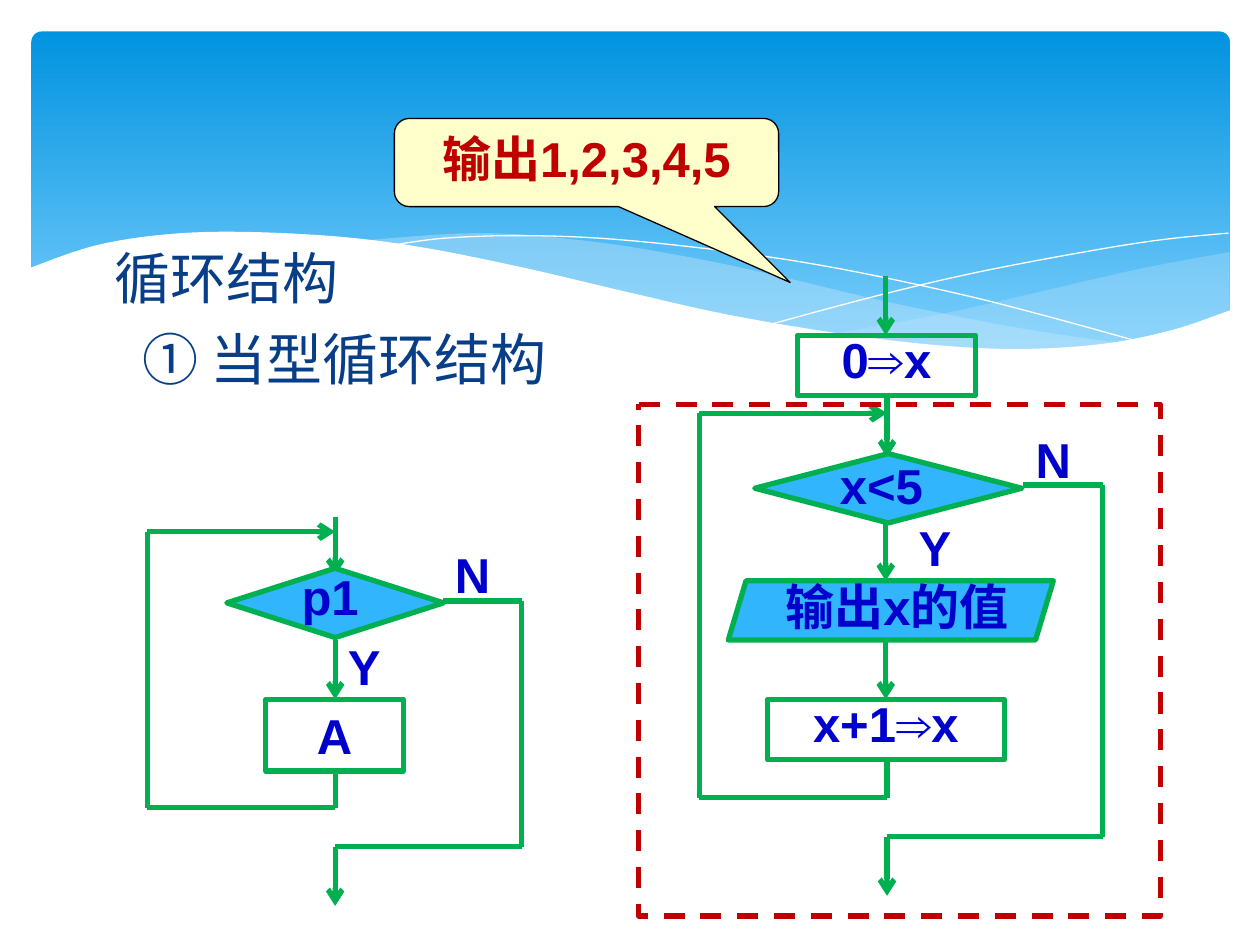
from itertools import pairwise

from lxml.etree import SubElement
from pptx import Presentation
from pptx.dml.color import RGBColor
from pptx.enum.dml import MSO_LINE as Dash
from pptx.enum.shapes import MSO_CONNECTOR as Link, MSO_SHAPE as Kind
from pptx.enum.text import MSO_ANCHOR as Anchor, PP_ALIGN as Align
from pptx.oxml.ns import qn
from pptx.util import Inches, Pt

SKY = RGBColor(0x02, 0x93, 0xE0)
PALE = RGBColor(0x83, 0xD3, 0xFE)
MIST = RGBColor(0xC6, 0xE7, 0xFC)
WHITE = RGBColor(0xFF, 0xFF, 0xFF)
BLACK = RGBColor(0x00, 0x00, 0x00)
NAVY = RGBColor(0x07, 0x3E, 0x87)
BLUE = RGBColor(0x00, 0x00, 0xCC)
AQUA = RGBColor(0x31, 0xB6, 0xFD)
GREEN = RGBColor(0x00, 0xB0, 0x50)
RED = RGBColor(0xC0, 0x00, 0x00)
CREAM = RGBColor(0xFF, 0xFF, 0xCC)

BODY = {"name": "Arial", "size": Pt(28), "bold": True}
HEAD = {"name": "DejaVu Sans", "size": Pt(32), "bold": False}

SWELL = [(9.77, 2.46), (9.3, 2.62), (8.75, 2.73), (8.09, 2.77), (7.44, 2.74),
         (6.68, 2.65), (5.79, 2.5), (5.03, 2.33), (4.18, 2.13), (3.39, 1.97),
         (2.71, 1.88), (1.93, 1.84), (1.32, 1.86), (0.75, 1.95), (0.23, 2.13)]
BAND_TOP = [(8.93, 2.73), (8.07, 2.6), (7.06, 2.4), (6.13, 2.18), (5.41, 2.03),
            (4.64, 1.91), (3.8, 1.85), (2.86, 1.91)]
BAND_LOW = [(2.86, 1.91), (3.62, 2.03), (4.49, 2.22), (5.66, 2.48), (6.65, 2.66),
            (7.48, 2.76), (8.18, 2.79), (8.93, 2.73)]
SIDE_TOP = [(9.76, 2), (9.06, 2.13), (8.32, 2.3), (7.53, 2.48), (6.61, 2.65)]
SIDE_LOW = [(6.61, 2.65), (7.18, 2.73), (7.81, 2.77), (8.44, 2.77), (9.05, 2.69),
            (9.76, 2.47)]
FALL = [(3.09, 1.95), (3.53, 1.89), (4.16, 1.87), (4.89, 1.9), (5.82, 2),
        (6.65, 2.13), (7.6, 2.33), (8.31, 2.51), (9.07, 2.72)]
RISE = [(6.13, 2.57), (6.95, 2.35), (7.76, 2.16), (8.66, 1.99), (9.24, 1.9),
        (9.75, 1.85)]


def smooth(dots, steps=6):
    """Return points on a Catmull-Rom curve through the dots."""
    ends = [dots[0], *dots, dots[-1]]
    out = [dots[0]]
    for a, b, c, d in zip(ends, ends[1:], ends[2:], ends[3:]):
        for t in (i / steps for i in range(1, steps + 1)):
            out.append(tuple(
                q + t * (r - p) / 2 + t**2 * (p - 2.5 * q + 2 * r - s / 2)
                + t**3 * (3 * q - p - 3 * r + s) / 2
                for p, q, r, s in zip(a, b, c, d)))
    return out


class Flow:
    """Hold the style and the current slide, and draw its elements."""

    def __init__(self, slide):
        self.shapes = slide.shapes
        self.edge = {"color": GREEN, "width": Pt(3)}

    def paint(self, shape, fill=None, line=None, width=3):
        shape.shadow.inherit = False
        if fill is None:
            shape.fill.background()
        else:
            shape.fill.solid()
            shape.fill.fore_color.rgb = fill
        if line is None:
            shape.line.fill.background()
        else:
            shape.line.color.rgb = line
            shape.line.width = Pt(width)
        return shape

    def letter(self, shape, lines, style=BODY, color=BLUE, align=Align.CENTER):
        frame = shape.text_frame
        frame.word_wrap = True
        frame.vertical_anchor = Anchor.TOP
        for i, text in enumerate(lines):
            para = frame.add_paragraph() if i else frame.paragraphs[0]
            para.alignment = align
            run = para.add_run()
            run.text = text
            for key, value in style.items():
                setattr(run.font, key, value)
            run.font.color.rgb = color
        return frame.paragraphs

    def sky(self, *box):
        shape = self.paint(self.shapes.add_shape(Kind.ROUNDED_RECTANGLE, *map(Inches, box)))
        shape.adjustments[0] = 0.03
        shape.fill.gradient()
        shape.fill.gradient_angle = 270
        for stop, color, place in zip(shape.fill.gradient_stops, (SKY, PALE), (0, 1)):
            stop.color.rgb = color
            stop.position = place

    def wave(self, *edges, fill=None, alpha=100, line=None):
        dots = [tuple(map(Inches, dot)) for edge in edges for dot in smooth(edge)]
        pen = self.shapes.build_freeform(*dots[0])
        pen.add_line_segments(dots[1:], close=fill is not None)
        shape = self.paint(pen.convert_to_shape(), fill, line, 0)
        if alpha < 100:
            tint = shape._element.spPr.find(".//" + qn("a:srgbClr"))
            SubElement(tint, qn("a:alpha")).set("val", str(alpha * 1000))

    def node(self, kind, box, fill=None, line=GREEN, width=3, adjust=()):
        shape = self.shapes.add_shape(kind, *map(Inches, box))
        for i, value in enumerate(adjust):
            shape.adjustments[i] = value
        return self.paint(shape, fill, line, width)

    def label(self, box, *lines, **look):
        return self.letter(self.shapes.add_textbox(*map(Inches, box)), lines, **look)

    def route(self, *dots):
        for start, end in pairwise(dots):
            link = self.shapes.add_connector(Link.STRAIGHT, *map(Inches, start + end))
            link.line.color.rgb = self.edge["color"]
            link.line.width = self.edge["width"]
            SubElement(link._element.spPr, qn("a:effectLst"))
            if end == dots[-1]:
                ln = link._element.spPr.find(qn("a:ln"))
                SubElement(ln, qn("a:tailEnd")).set("type", "arrow")

    def loop(self, mid, left, right, entry, back, base, foot, side, out):
        self.route((mid, entry), (mid, entry + 0.47))
        self.route((mid, base), (mid, foot), (left, foot), (left, back), (mid, back))
        low = foot + 0.31
        self.route((side, out), (right, out), (right, low), (mid, low), (mid, low + 0.47))


def main():
    deck = Presentation()
    deck.slide_width, deck.slide_height = Inches(10), Inches(7.5)
    flow = Flow(deck.slides.add_slide(deck.slide_layouts[6]))

    flow.sky(0.25, 0.25, 9.51, 2.7)
    flow.wave(SIDE_TOP, SIDE_LOW, fill=MIST, alpha=29)
    flow.wave(BAND_TOP, BAND_LOW, fill=MIST, alpha=40)
    flow.wave(FALL, line=WHITE)
    flow.wave(RISE, line=WHITE)
    flow.wave(SWELL, [(0.23, 3.29), (9.77, 3.29)], fill=WHITE)

    heads = flow.label((0.7, 1.88, 8.52, 2.27), "循环结构", "① 当型循环结构",
                       style=HEAD, color=NAVY, align=Align.LEFT)
    for para, indent in zip(heads, (0.11, 0.33)):
        para._p.get_or_add_pPr().set("marL", str(Inches(indent)))
    heads[1].space_before = Pt(8)

    flow.loop(2.66, 1.17, 4.14, 4.1, 4.22, 6.12, 6.41, 3.52, 4.77)
    flow.loop(7.04, 5.55, 8.75, 3.16, 3.28, 6.02, 6.33, 8.12, 3.85)
    for x, y in ((2.66, 5.08), (7.03, 2.19), (7.03, 4.14), (7.03, 5.08)):
        flow.route((x, y), (x, y + 0.47))

    for kind, box, adjust in (
            (Kind.FLOWCHART_DECISION, (1.8, 4.51, 1.72, 0.55), ()),
            (Kind.FLOWCHART_DECISION, (5.99, 3.6, 2.12, 0.55), ()),
            (Kind.PARALLELOGRAM, (5.78, 4.61, 2.58, 0.47), (0.3,))):
        flow.node(kind, box, AQUA, adjust=adjust)
    for text, box, pitch in (("A", (2.11, 5.55, 1.09, 0.57), None),
                             ("0⇒x", (6.33, 2.66, 1.41, 0.48), Pt(27)),
                             ("x+1⇒x", (6.09, 5.55, 1.88, 0.48), Pt(27))):
        flow.letter(flow.node(Kind.RECTANGLE, box), [text])[0].line_spacing = pitch
    for text, x, y, width in (("p1", 2.11, 4.45, 1.02), ("Y", 2.5, 5, 0.78),
                              ("N", 3.36, 4.27, 0.78), ("x<5", 6.37, 3.57, 1.25),
                              ("Y", 7.03, 4.06, 0.78), ("N", 7.97, 3.36, 0.78),
                              ("输出x的值", 5.86, 4.53, 2.52)):
        flow.label((x, y, width, 0.57), text)

    frame = flow.node(Kind.FLOWCHART_PROCESS, (5.07, 3.21, 4.14, 4.06), line=RED)
    frame.line.dash_style = Dash.DASH
    note = flow.node(Kind.ROUNDED_RECTANGULAR_CALLOUT, (3.13, 0.94, 3.05, 0.7),
                     CREAM, BLACK, 0.75, (0.53, 1.36, 0.17))
    flow.letter(note, ["输出1,2,3,4,5"], color=RED)
    deck.save("out.pptx")


if __name__ == "__main__":
    main()
